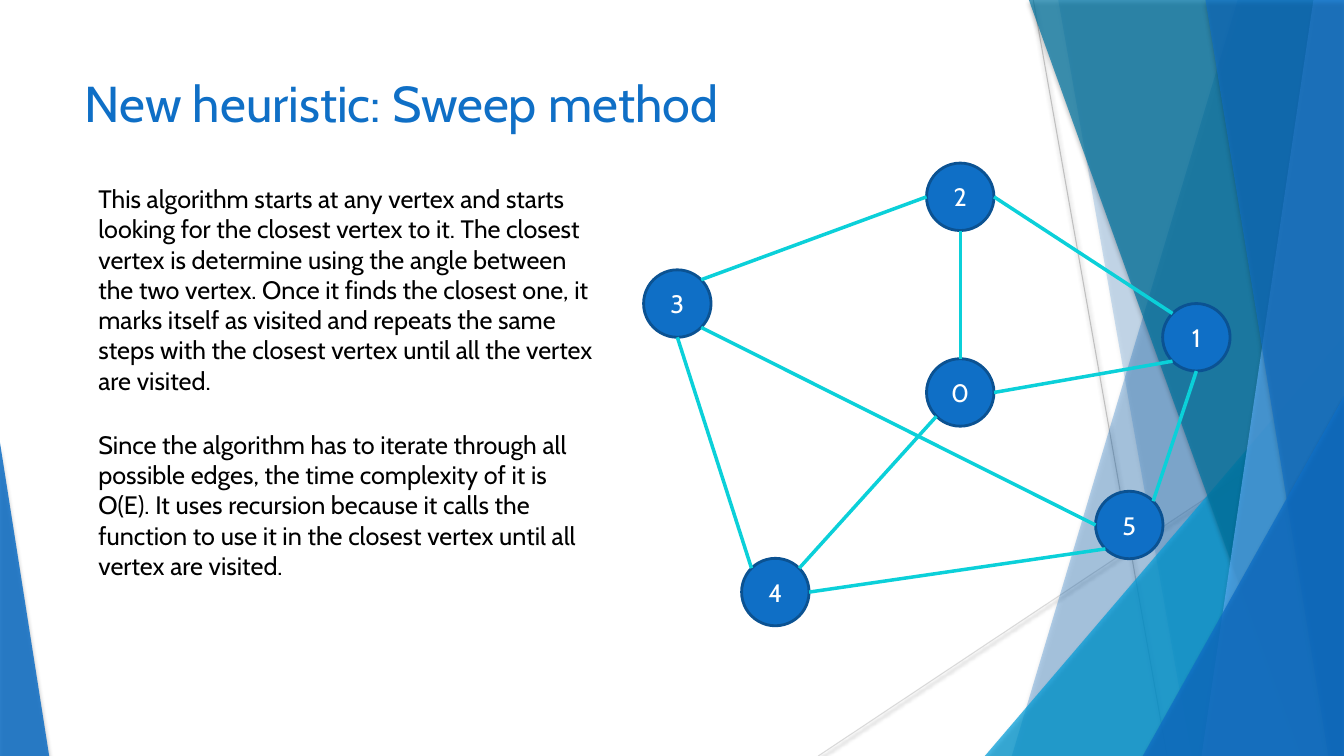
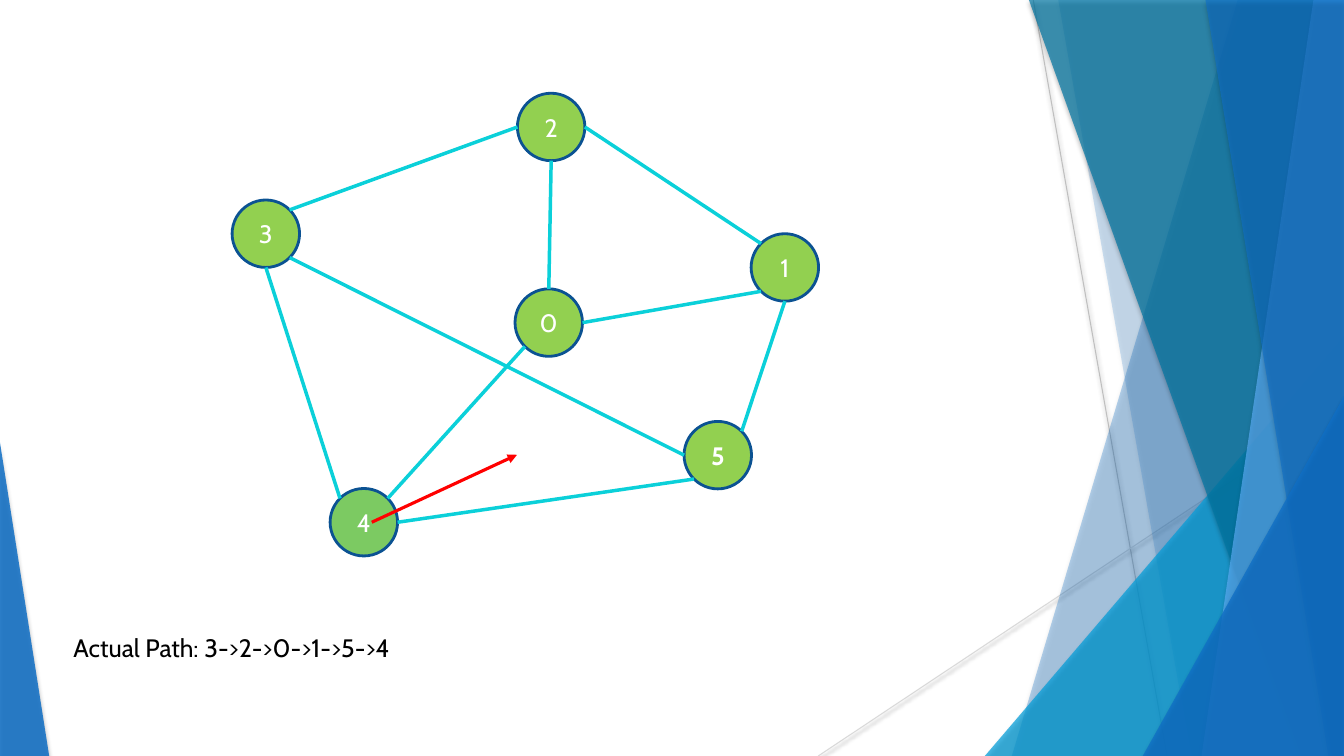
from math import cos, radians, sin

from lxml import etree
from pptx import Presentation
from pptx import util as u
from pptx.dml.color import RGBColor
from pptx.enum import shapes, text
from pptx.oxml import ns

BLUE = RGBColor(0x0F, 0x6F, 0xC6)
NAVY = RGBColor(0x0B, 0x52, 0x92)
SKY = RGBColor(0x59, 0xAA, 0xF2)
CYAN = RGBColor(0x00, 0x9D, 0xD9)
TEAL = RGBColor(0x00, 0x76, 0xA3)
TURQUOISE = RGBColor(0x0B, 0xD0, 0xD9)
LIME = RGBColor(0x92, 0xD0, 0x50)
GREEN = RGBColor(0x7C, 0xCA, 0x62)
RED = RGBColor(0xFF, 0x00, 0x00)
SILVER = RGBColor(0xBF, 0xBF, 0xBF)
PALE = RGBColor(0xD9, 0xD9, 0xD9)
BLACK = RGBColor(0x00, 0x00, 0x00)
WHITE = RGBColor(0xFF, 0xFF, 0xFF)

FONT = "Cabin"
WIDTH, HEIGHT = 33.87, 19.05
DIAMETER = 1.7

HAIRLINES = [
    ((26.04, 0), (29.41, HEIGHT), SILVER),
    ((WIDTH, 10.24), (20.62, HEIGHT), PALE),
]
BANDS = [
    ("band", 31.19, 25.5, BLUE, 30),
    ("band", 26.67, 30.02, BLUE, 20),
    ("wedge", (24.82, 8.46, 9.05), 1, CYAN, 72),
    ("band", 25.93, 32.79, TEAL, 70),
    ("band", 33.1, 30.28, SKY, 70),
    ("band", 30.38, 33.48, BLUE, 65),
    ("wedge", (28.8, 9.98, 5.07), 1, BLUE, 80),
    ("wedge", (0, 11.15, 1.24), 0, BLUE, 85),
]

TITLE = "New heuristic: Sweep method"
EXPLANATION = (
    "This algorithm starts at any vertex and starts looking for the closest vertex to it. "
    "The closest vertex is determine using the angle between the two vertex. Once it finds "
    "the closest one, it marks itself as visited and repeats the same steps with the closest "
    "vertex until all the vertex are visited."
)
COMPLEXITY = (
    "Since the algorithm has to iterate through all possible edges, the time complexity of it "
    "is O(E). It uses recursion because it calls the function to use it in the closest vertex "
    "until all vertex are visited."
)
ACTUAL_PATH = "Actual Path: 3->2->0->1->5->4"

VERTICES = {
    5: (28.46, 13.23),
    4: (19.54, 14.92),
    3: (17.07, 7.65),
    2: (24.2, 4.96),
    1: (30.15, 8.5),
    0: (24.2, 9.89),
}
TOP, TOP_LEFT, LEFT, BOTTOM_LEFT, BOTTOM, BOTTOM_RIGHT, RIGHT, TOP_RIGHT = range(8)
EDGES = [
    (2, BOTTOM, 0, TOP),
    (1, BOTTOM_LEFT, 0, RIGHT),
    (3, BOTTOM_RIGHT, 5, LEFT),
    (4, TOP_RIGHT, 0, BOTTOM_LEFT),
    (5, BOTTOM_LEFT, 4, RIGHT),
    (1, BOTTOM, 5, TOP_RIGHT),
    (1, TOP_LEFT, 2, RIGHT),
    (2, LEFT, 3, TOP_RIGHT),
    (3, BOTTOM, 4, TOP_LEFT),
]
VISITED_SHIFT = (-10.37, -1.76)
VISITED_TOP_VERTEX = (13.89, 3.2)
SWEEP = ((9.37, 13.16), (13.03, 11.46))


def cm(*values):
    return [u.Cm(value) for value in values]


def apply(target, values):
    for name, value in values.items():
        setattr(target, name, value)


def add_xml(parent, tag, **attributes):
    child = etree.SubElement(parent, ns.qn(tag))
    for name, value in attributes.items():
        child.set(name, str(value))
    return child


def cast_shadow(effects, opacity, blur, distance):
    shadow = add_xml(effects, "a:outerShdw", blurRad=u.Pt(blur), dist=u.Pt(distance),
                     dir=90 * 60000, algn="tl", rotWithShape=0)
    black = add_xml(shadow, "a:srgbClr", val=BLACK)
    add_xml(black, "a:alpha", val=opacity * 1000)


def write(frame, words, size=18, color=BLACK, bold=False, align=text.PP_ALIGN.LEFT,
          anchor=text.MSO_ANCHOR.TOP):
    apply(frame, {"word_wrap": True, "vertical_anchor": anchor})
    paragraph = frame.paragraphs[0]
    paragraph.alignment = align
    run = paragraph.add_run()
    run.text = words
    apply(run.font, {"name": FONT, "size": u.Pt(size), "bold": bold})
    run.font.color.rgb = color


def add_text(slide, words, box, **style):
    write(slide.shapes.add_textbox(*cm(*box)).text_frame, words, **style)


def add_line(slide, start, end, color, weight):
    line = slide.shapes.add_connector(shapes.MSO_CONNECTOR.STRAIGHT, *cm(*start, *end))
    line.line.color.rgb = color
    line.line.width = u.Pt(weight)
    effects = add_xml(line.element.spPr, "a:effectLst")
    return line, effects


def add_band(slide, top_x, bottom_x):
    outline = slide.shapes.build_freeform(*cm(top_x, 0), scale=1.0)
    corners = [(WIDTH, 0), (WIDTH, HEIGHT), (bottom_x, HEIGHT)]
    outline.add_line_segments([cm(*corner) for corner in corners], close=True)
    return outline.convert_to_shape()


def add_wedge(slide, place, apex):
    left, top, width = place
    wedge = slide.shapes.add_shape(shapes.MSO_SHAPE.ISOSCELES_TRIANGLE,
                                   *cm(left, top, width, HEIGHT - top))
    wedge.adjustments[0] = apex
    return wedge


def decorate(layout, slide):
    for placeholder in list(layout.placeholders):
        layout.shapes.element.remove(placeholder.element)
    for start, end, color in HAIRLINES:
        line, effects = add_line(slide, start, end, color, 0.75)
        cast_shadow(effects, 38, 3.1, 1.6)
    makers = {"band": add_band, "wedge": add_wedge}
    for kind, place, tilt, color, opacity in BANDS:
        band = makers[kind](slide, place, tilt)
        band.fill.solid()
        band.fill.fore_color.rgb = color
        band.line.fill.background()
        band.shadow.inherit = False
        properties = band.element.spPr
        tint = properties.find(ns.qn("a:solidFill")).find(ns.qn("a:srgbClr"))
        add_xml(tint, "a:alpha", val=opacity * 1000)
        cast_shadow(properties.find(ns.qn("a:effectLst")), 35, 3, 2)
    for ornament in list(slide.shapes):
        layout.shapes.element.append(ornament.element)


def site_point(center, site):
    angle = radians(45 * site)
    radius = DIAMETER / 2
    return center[0] - radius * sin(angle), center[1] - radius * cos(angle)


def add_graph(slide, centers, fill, special_fills=None, bold_vertices=()):
    vertices = {}
    for number, (x, y) in centers.items():
        vertex = slide.shapes.add_shape(
            shapes.MSO_SHAPE.OVAL,
            *cm(x - DIAMETER / 2, y - DIAMETER / 2, DIAMETER, DIAMETER))
        vertex.shadow.inherit = False
        vertex.fill.solid()
        vertex.fill.fore_color.rgb = (special_fills or {}).get(number, fill)
        vertex.line.color.rgb = NAVY
        vertex.line.width = u.Pt(2)
        write(vertex.text_frame, str(number), color=WHITE, bold=number in bold_vertices,
              align=text.PP_ALIGN.CENTER, anchor=text.MSO_ANCHOR.MIDDLE)
        vertices[number] = vertex
    for source, source_site, target, target_site in EDGES:
        edge, _ = add_line(slide, site_point(centers[source], source_site),
                           site_point(centers[target], target_site), TURQUOISE, 2.5)
        joints = edge.element.nvCxnSpPr.cNvCxnSpPr
        add_xml(joints, "a:stCxn", id=vertices[source].shape_id, idx=source_site)
        add_xml(joints, "a:endCxn", id=vertices[target].shape_id, idx=target_site)


def main():
    deck = Presentation()
    apply(deck, {"slide_width": u.Cm(WIDTH), "slide_height": u.Cm(HEIGHT)})
    blank = deck.slide_layouts[6]

    method = deck.slides.add_slide(blank)
    decorate(blank, method)
    add_text(method, TITLE, (1.88, 1.7, 23.88, 3.66), size=36, color=BLUE)
    add_graph(method, VERTICES, BLUE)
    add_text(method, EXPLANATION, (2.23, 4.5, 13.16, 6.35))
    add_text(method, COMPLEXITY, (2.23, 10.69, 13.16, 4.83))

    visited = deck.slides.add_slide(blank)
    dx, dy = VISITED_SHIFT
    centers = {number: (x + dx, y + dy) for number, (x, y) in VERTICES.items()}
    centers[2] = VISITED_TOP_VERTEX
    add_graph(visited, centers, LIME, special_fills={4: GREEN}, bold_vertices=(5,))
    add_text(visited, ACTUAL_PATH, (1.6, 15.8, 13.39, 1.02))
    sweep, _ = add_line(visited, *SWEEP, RED, 2.25)
    add_xml(sweep.line._get_or_add_ln(), "a:tailEnd", type="triangle")

    deck.save("out.pptx")


if __name__ == "__main__":
    main()
